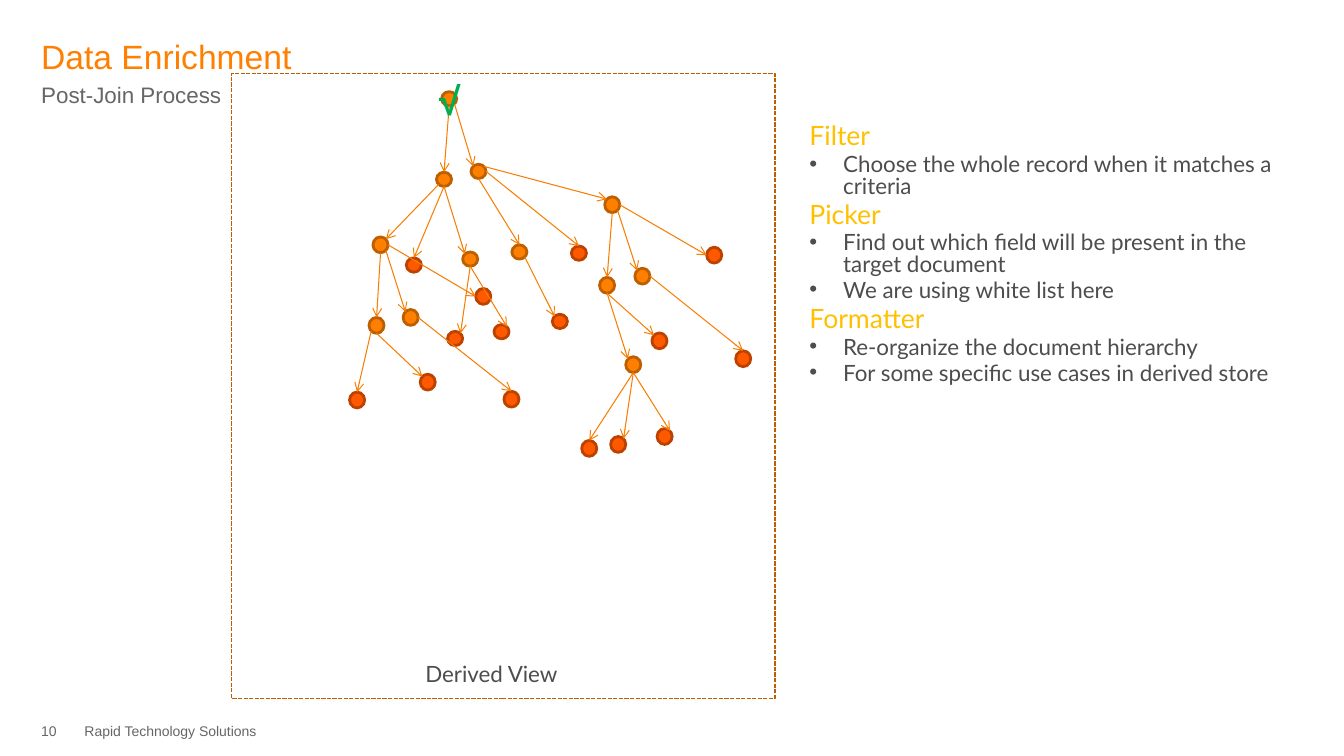
"""Build the Data Enrichment slide with its derived view tree and processing steps."""
from dataclasses import dataclass
from math import sqrt

from lxml.etree import SubElement
from pptx import Presentation
from pptx.dml.color import RGBColor
from pptx.enum.dml import MSO_LINE
from pptx.enum.shapes import MSO_CONNECTOR, MSO_SHAPE
from pptx.enum.text import MSO_ANCHOR, MSO_AUTO_SIZE
from pptx.oxml.ns import qn
from pptx.util import Cm, Pt


@dataclass(frozen=True)
class Theme:
    heading_font: str = "Arial"
    body_font: str = "Lato"
    title: str = "FF8000"
    muted: str = "666666"
    body: str = "4D4D4D"
    step: str = "FFC000"
    check: str = "00B050"
    edge: str = "F97D00"
    branch: tuple = ("FF8000", "BD5F00")
    leaf: tuple = ("FF5900", "BD4200")
    title_size: float = 24
    body_size: float = 16
    step_size: float = 19
    check_size: float = 28
    footer_size: float = 10


THEME = Theme()

TITLE = "Data Enrichment"
SUBTITLE = "Post-Join Process"
PAGE_NUMBER = "10"
FOOTER = "Rapid Technology Solutions"
CHECK = "√"
VIEW_CAPTION = "Derived View"
STEPS = [
    ("Filter", ["Choose the whole record when it matches a criteria"]),
    ("Picker", ["Find out which field will be present in the target document",
                "We are using white list here"]),
    ("Formatter", ["Re-organize the document hierarchy",
                   "For some specific use cases in derived store"]),
]

FLAT, TALL = 0.36, 0.40
NODE_WIDTH = 0.38
# name: (centre x, centre y, height, parent, side left, side entered)
TREE = {
    "root": (11.32, 2.49, FLAT, None, None, None),
    "A": (11.19, 4.52, FLAT, "root", "S", "N"),
    "B": (12.06, 4.32, FLAT, "root", "SE", "NW"),
    "A1": (9.59, 6.17, TALL, "A", "SW", "NE"),
    "A2": (10.43, 6.68, FLAT, "A", "S", "N"),
    "A3": (11.85, 6.53, FLAT, "A", "S", "NW"),
    "A1a": (9.49, 8.20, TALL, "A1", "S", "N"),
    "A1b": (10.35, 8.00, TALL, "A1", "SE", "NW"),
    "A1c": (12.18, 7.47, TALL, "A1", "E", "W"),
    "A1a1": (9.00, 10.08, TALL, "A1a", "SW", "N"),
    "A1a2": (10.78, 9.63, TALL, "A1a", "S", "NW"),
    "A1b1": (12.89, 10.06, TALL, "A1b", "E", "N"),
    "A3a": (11.47, 8.53, FLAT, "A3", "S", "NE"),
    "A3b": (12.64, 8.36, FLAT, "A3", "S", "NE"),
    "B1": (13.09, 6.35, FLAT, "B", "S", "N"),
    "B2": (14.59, 6.38, FLAT, "B", "E", "N"),
    "B3": (15.43, 5.16, TALL, "B", "NE", "NW"),
    "B1a": (14.11, 8.10, FLAT, "B1", "SE", "NW"),
    "B3a": (15.30, 7.19, TALL, "B3", "S", "N"),
    "B3b": (16.19, 6.96, TALL, "B3", "SE", "NW"),
    "B3c": (18.00, 6.43, TALL, "B3", "E", "W"),
    "B3a1": (15.96, 9.19, TALL, "B3a", "S", "NW"),
    "B3a2": (16.62, 8.59, TALL, "B3a", "S", "NW"),
    "B3b1": (18.73, 9.04, TALL, "B3b", "E", "N"),
    "B3a1a": (14.85, 11.30, TALL, "B3a1", "S", "N"),
    "B3a1b": (15.58, 11.20, TALL, "B3a1", "S", "NE"),
    "B3a1c": (16.75, 11.00, TALL, "B3a1", "S", "NE"),
}


def color(hex_code):
    return RGBColor.from_string(hex_code)


def add_run(paragraph, text, size, hex_code, font, bold=False):
    run = paragraph.add_run()
    run.text = text
    run.font.size = Pt(size)
    run.font.name = font
    run.font.bold = bold
    run.font.color.rgb = color(hex_code)


def add_frame(slide, box, margins=(0, 0), anchor=MSO_ANCHOR.TOP, grow=False):
    frame = slide.shapes.add_textbox(*map(Cm, box)).text_frame
    frame.word_wrap = True
    frame.margin_left = frame.margin_right = Cm(margins[0])
    frame.margin_top = frame.margin_bottom = Cm(margins[1])
    frame.vertical_anchor = anchor
    frame.auto_size = MSO_AUTO_SIZE.SHAPE_TO_FIT_TEXT if grow else MSO_AUTO_SIZE.NONE
    return frame


def style_list_line(paragraph, size, bullet=False):
    paragraph.line_spacing = 0.8
    paragraph.space_before = Pt(size * 0.2)
    properties = paragraph._p.get_or_add_pPr()
    properties.set("marL", str(Cm(0.85)))
    properties.set("indent", str(-Cm(0.85)))
    if bullet:
        SubElement(properties, qn("a:buFont")).set("typeface", "Arial")
        SubElement(properties, qn("a:buChar")).set("char", "•")


def add_steps(slide):
    frame = add_frame(slide, (20.07, 2.82, 12.34, 8.66), (0.33, 0.18), grow=True)
    lines = [(text, heading) for step, details in STEPS
             for text, heading in [(step, True)] + [(detail, False) for detail in details]]
    for index, (text, heading) in enumerate(lines):
        paragraph = frame.add_paragraph() if index else frame.paragraphs[0]
        size = THEME.step_size if heading else THEME.body_size
        if index:
            style_list_line(paragraph, size, bullet=not heading)
        add_run(paragraph, text, size, THEME.step if heading else THEME.body, THEME.body_font)


def add_node(slide, name, parents):
    x, y, height = TREE[name][:3]
    node = slide.shapes.add_shape(
        MSO_SHAPE.FLOWCHART_CONNECTOR, Cm(x - NODE_WIDTH / 2), Cm(y - height / 2),
        Cm(NODE_WIDTH), Cm(height))
    fill, outline = THEME.branch if name in parents else THEME.leaf
    node.shadow.inherit = False
    node.fill.solid()
    node.fill.fore_color.rgb = color(fill)
    node.line.color.rgb = color(outline)
    node.line.width = Pt(2)


def rim_point(name, side):
    x, y, height = TREE[name][:3]
    dx = ("E" in side) - ("W" in side)
    dy = ("S" in side) - ("N" in side)
    reach = 1 / (2 * sqrt(dx * dx + dy * dy))
    return Cm(x + dx * reach * NODE_WIDTH), Cm(y + dy * reach * height)


def add_edge(slide, name):
    parent, leaving, entering = TREE[name][3:]
    edge = slide.shapes.add_connector(
        MSO_CONNECTOR.STRAIGHT, *rim_point(parent, leaving), *rim_point(name, entering))
    edge.line.color.rgb = color(THEME.edge)
    edge.line.width = Pt(0.75)
    SubElement(edge.line._get_or_add_ln(), qn("a:tailEnd")).set("type", "arrow")
    SubElement(edge._element.spPr, qn("a:effectLst"))


def add_view(slide):
    parents = {node[3] for node in TREE.values()}
    for name in TREE:
        add_node(slide, name, parents)
    for name in TREE:
        if TREE[name][3]:
            add_edge(slide, name)
    border = slide.shapes.add_shape(MSO_SHAPE.RECTANGLE, *map(Cm, (5.84, 1.85, 13.69, 15.75)))
    border.shadow.inherit = False
    border.fill.background()
    border.line.color.rgb = color(THEME.branch[1])
    border.line.width = Pt(1)
    border.line.dash_style = MSO_LINE.SQUARE_DOT
    caption = add_frame(slide, (10.39, 16.59, 4.57, 0.89), (0.33, 0.18), grow=True).paragraphs[0]
    style_list_line(caption, THEME.body_size)
    add_run(caption, VIEW_CAPTION, THEME.body_size, THEME.body, THEME.body_font)


def main():
    deck = Presentation()
    deck.slide_width, deck.slide_height = Cm(33.87), Cm(19.05)
    slide = deck.slides.add_slide(deck.slide_layouts[6])
    top, middle = MSO_ANCHOR.TOP, MSO_ANCHOR.MIDDLE
    add_view(slide)
    add_steps(slide)
    for text, box, anchor, size, hex_code, bold in [
        (TITLE, (1.04, 0.81, 28.6, 1.19), middle, THEME.title_size, THEME.title, False),
        (SUBTITLE, (1.04, 2.01, 28.6, 0.74), middle, THEME.body_size, THEME.muted, False),
        (PAGE_NUMBER, (1.04, 18.21, 1.07, 0.84), top, THEME.footer_size, THEME.muted, False),
        (FOOTER, (2.13, 18.21, 14.78, 0.84), top, THEME.footer_size, THEME.muted, False),
        (CHECK, (11.07, 1.93, 3.78, 0.94), top, THEME.check_size, THEME.check, True),
    ]:
        frame = add_frame(slide, box, anchor=anchor)
        add_run(frame.paragraphs[0], text, size, hex_code, THEME.heading_font, bold)
    deck.save("out.pptx")


if __name__ == "__main__":
    main()
